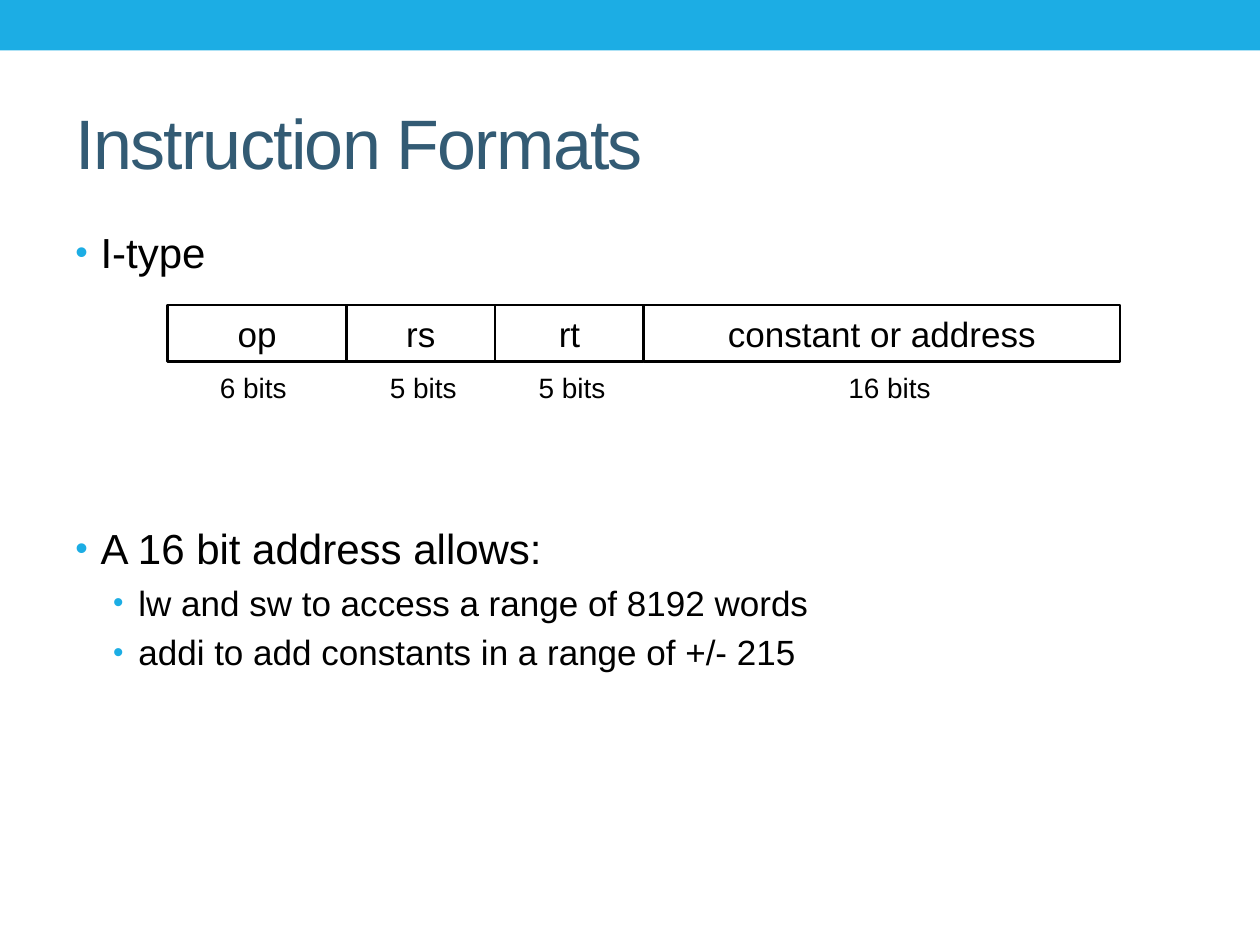
from pptx import Presentation
from pptx.dml.color import RGBColor
from pptx.enum.shapes import MSO_SHAPE as SHAPE
from pptx.enum.text import MSO_ANCHOR as ANCHOR, MSO_AUTO_SIZE as AUTO, PP_ALIGN as ALIGN
from pptx.oxml import parse_xml
from pptx.oxml.ns import nsdecls
from pptx.util import Inches, Pt

BLUE = RGBColor(0x1C, 0xAD, 0xE4)
NAVY = RGBColor(0x33, 0x5B, 0x74)
BLACK = RGBColor(0, 0, 0)

# Content
TITLE = "Instruction Formats"
# text, level, space before in points
BULLETS = [
    ("I-type", 0, 3),
    ("A 16 bit address allows:", 0, 140.4),
    ("lw and sw to access a range of 8192 words", 1, 4.5),
    ("addi to add constants in a range of +/- 215", 1, 4.5),
]
LEVELS = [dict(size=24, margin=0.2), dict(size=20, margin=0.5)]
# name, width, size label, label width, label centre offset
FIELDS = [
    ("op", 1.42, "6 bits", 0.73, -0.03),
    ("rs", 1.18, "5 bits", 0.73, 0.02),
    ("rt", 1.18, "5 bits", 0.73, 0.02),
    ("constant or address", 3.78, "16 bits", 0.86, 0.06),
]
FIELD_LEFT, FIELD_TOP, FIELD_HEIGHT = 1.33, 2.42, 0.45
LABEL_TOP, LABEL_HEIGHT = 2.89, 0.37


def inches(*box):
    return [Inches(v) for v in box]


def write(p, text, size, color=BLACK):
    r = p.add_run()
    r.text = text
    r.font.color.rgb = color
    for name, value in dict(name="Arial", size=Pt(size)).items():
        setattr(r.font, name, value)
    return r


def add_bullet(p, margin):
    pPr = p._p.get_or_add_pPr()
    pPr.set("marL", str(Inches(margin)))
    pPr.set("indent", str(-Inches(0.2)))
    ns = nsdecls("a")
    for xml in (f'<a:buClr {ns}><a:srgbClr val="{BLUE}"/></a:buClr>',
                f'<a:buSzPct {ns} val="85000"/>',
                f'<a:buFont {ns} typeface="Arial"/>',
                f'<a:buChar {ns} char="•"/>'):
        pPr.append(parse_xml(xml))


def add_box(s, box, fill=None, line=None):
    sp = s.shapes.add_shape(SHAPE.RECTANGLE, *inches(*box))
    sp.shadow.inherit = False
    for part, color in ((sp.fill, fill), (sp.line.fill, line)):
        if color is None:
            part.background()
        else:
            part.solid()
            part.fore_color.rgb = color
    return sp


prs = Presentation()
prs.slide_width, prs.slide_height = inches(10, 7.5)
s = prs.slides.add_slide(prs.slide_layouts[5])

# Top band
add_box(s, (0, 0, 10, 0.4), fill=BLUE)

# Title
title = s.shapes.title
title.left, title.top, title.width, title.height = inches(0.5, 0.58, 9, 1.08)
tf = title.text_frame
for name, value in dict(vertical_anchor=ANCHOR.MIDDLE, auto_size=AUTO.NONE).items():
    setattr(tf, name, value)
tf.paragraphs[0].alignment = ALIGN.LEFT
r = write(tf.paragraphs[0], TITLE, 40, NAVY)
r.font._element.set("spc", "-100")

# Bullets
tf = s.shapes.add_textbox(*inches(0.5, 1.75, 9, 5.33)).text_frame
tf.word_wrap = True
for i, (text, level, before) in enumerate(BULLETS):
    p = tf.add_paragraph() if i else tf.paragraphs[0]
    p.level = level
    p.space_before = Pt(before)
    add_bullet(p, LEVELS[level]["margin"])
    write(p, text, LEVELS[level]["size"])

# Instruction fields with their sizes below
left = FIELD_LEFT
for name, width, bits, label_width, offset in FIELDS:
    sp = add_box(s, (left, FIELD_TOP, width, FIELD_HEIGHT), line=BLACK)
    sp.line.width = Pt(1.5)
    label_left = left + width / 2 + offset - label_width / 2
    label = s.shapes.add_textbox(*inches(label_left, LABEL_TOP, label_width, LABEL_HEIGHT))
    label.text_frame.word_wrap = False
    for shape, text, size in ((sp, name, 20), (label, bits, 16)):
        p = shape.text_frame.paragraphs[0]
        p.alignment = ALIGN.CENTER
        write(p, text, size)
    left += width

prs.save("out.pptx")
